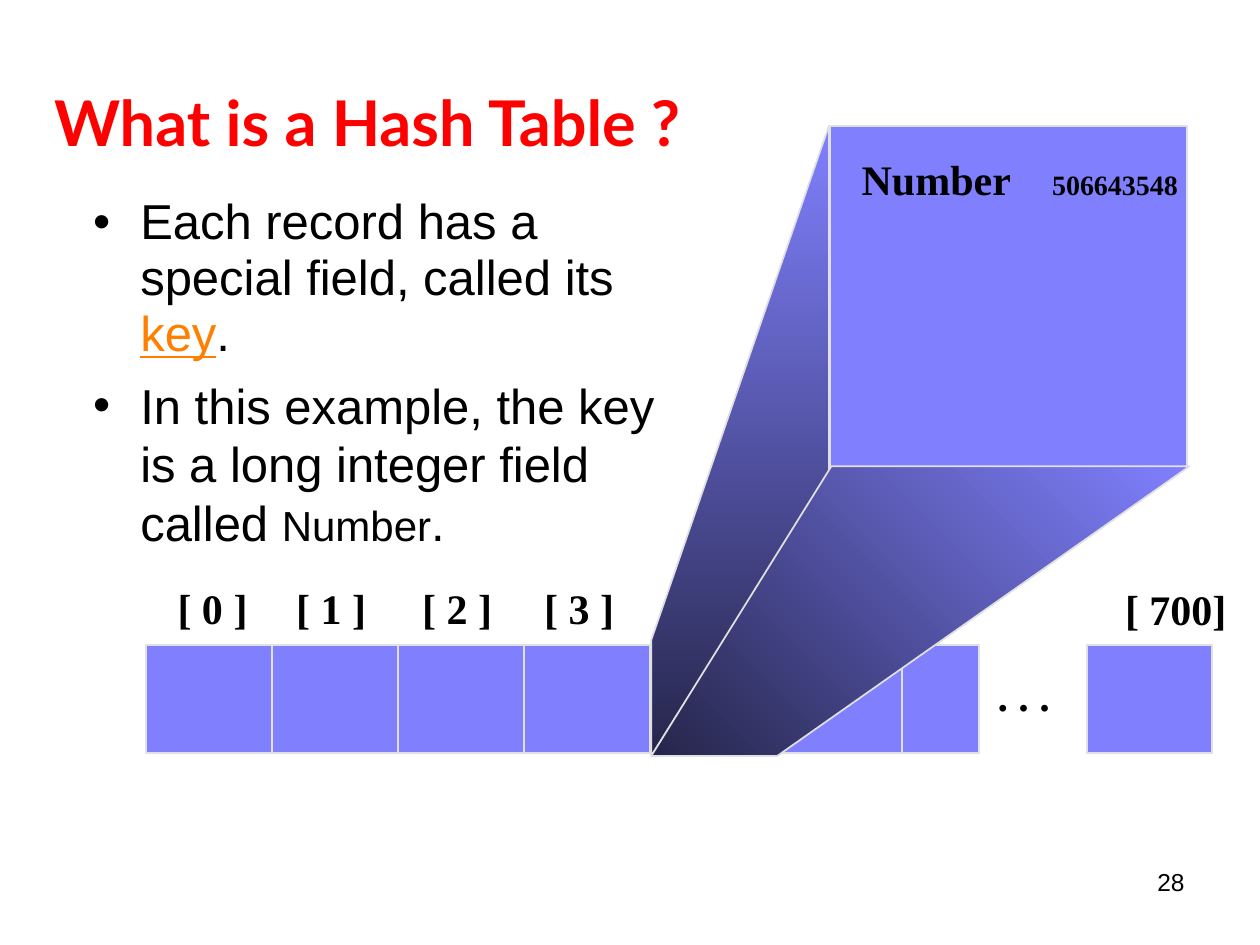
from lxml import etree
from pptx import Presentation
from pptx import util as u
from pptx.dml.color import RGBColor
from pptx.enum import shapes, text
from pptx.oxml import ns

rgb = RGBColor.from_string
LILAC, NAVY, EDGE = "8080FF", "26264B", "E0E0E0"
SERIF = "Times New Roman"

deck = Presentation()
deck.slide_width, deck.slide_height = u.Cm(25.4), u.Cm(19.05)
page = deck.slides.add_slide(deck.slide_layouts[6])


def add_text(left, top, width, height, wrap=True):
    box = page.shapes.add_textbox(u.Cm(left), u.Cm(top), u.Cm(width), u.Cm(height))
    frame = box.text_frame
    frame.word_wrap = wrap
    if not wrap:
        frame.auto_size = text.MSO_AUTO_SIZE.SHAPE_TO_FIT_TEXT
        frame.margin_right = 0
    return frame


def set_font(para, name, size, color="000000", bold=False):
    para.font.name = name
    para.font.size = u.Pt(size)
    para.font.bold = bold
    para.font.color.rgb = rgb(color)


title = add_text(0.84, 0.94, 21.59, 3.18)
title.vertical_anchor = text.MSO_ANCHOR.MIDDLE
para = title.paragraphs[0]
para.text = "What is a Hash Table ?"
para.line_spacing = 0.95
set_font(para, "Lato", 36, "FF0000", True)

body = add_text(1.63, 3.81, 12.57, 11.43)
points = [
    (0.95, ["Each record has a special field, called its ", "key", "."]),
    (1.0, ["In this example, the key is a long integer field called ", "Number", "."]),
]
for index, (spacing, parts) in enumerate(points):
    para = body.add_paragraph() if index else body.paragraphs[0]
    para.line_spacing = spacing
    para.space_before = u.Pt(7)
    props = para._p.get_or_add_pPr()
    props.set("marL", str(u.Cm(0.95)))
    props.set("indent", str(u.Cm(-0.95)))
    etree.SubElement(props, ns.qn("a:buFont")).set("typeface", "Arial")
    etree.SubElement(props, ns.qn("a:buChar")).set("char", "•")
    set_font(para, "Arial", 28)
    for part in parts:
        span = para.add_run()
        span.text = part
        if part == "key":
            span.font.underline = True
            span.font.color.rgb = rgb("FF8000")
        elif part == "Number":
            span.font.size = u.Pt(24)

row_left, row_top, row_height, cell = 2.95, 13.0, 2.18, 2.54
blocks = [
    (row_left, row_top, 16.79, row_height),
    (21.92, row_top, 2.51, row_height),
    (16.74, 2.54, 7.19, 6.88),
]
for block in blocks:
    box = page.shapes.add_shape(shapes.MSO_SHAPE.RECTANGLE, *map(u.Cm, block))
    box.shadow.inherit = False
    box.fill.solid()
    box.fill.fore_color.rgb = rgb(LILAC)
    box.line.color.rgb = rgb(EDGE)
    box.line.width = u.Pt(1)

for index in range(1, 7):
    x = u.Cm(row_left + index * cell)
    divider = page.shapes.add_connector(
        shapes.MSO_CONNECTOR.STRAIGHT, x, u.Cm(row_top), x, u.Cm(row_top + row_height))
    divider.line.color.rgb = rgb(EDGE)
    divider.line.width = u.Pt(1)
    etree.SubElement(divider._element.spPr, ns.qn("a:effectLst"))

beams = [
    (90, [(13.13, 12.9), (16.71, 2.54), (16.71, 9.53), (13.13, 15.24)]),
    (135, [(13.13, 15.24), (16.76, 9.4), (23.98, 9.4), (15.67, 15.24)]),
]
for angle, corners in beams:
    outline = [(u.Cm(x), u.Cm(y)) for x, y in corners]
    builder = page.shapes.build_freeform(*outline[0])
    builder.add_line_segments(outline[1:], close=True)
    beam = builder.convert_to_shape()
    beam.shadow.inherit = False
    beam.fill.gradient()
    beam.fill.gradient_angle = 360 - angle
    for stop, color in zip(beam.fill.gradient_stops, (LILAC, NAVY)):
        stop.color.rgb = rgb(color)
    beam.line.color.rgb = rgb(EDGE)
    beam.line.width = u.Pt(1)

labels = [
    ("[ 0 ]", 3.33, 11.71, 1.9),
    ("[ 1 ]", 5.72, 11.71, 1.9),
    ("[ 2 ]", 8.26, 11.71, 1.9),
    ("[ 3 ]", 10.72, 11.71, 1.9),
    (". . .", 19.86, 13.46, 1.57),
    ("[ 700]", 22.43, 11.73, 2.54),
]
for label, left, top, width in labels:
    para = add_text(left, top, width, 1.19, wrap=False).paragraphs[0]
    para.text = label
    para.line_spacing = 0.93
    set_font(para, SERIF, 24, bold=True)

para = add_text(17.12, 3.07, 6.91, 1.19, wrap=False).paragraphs[0]
para.line_spacing = 0.93
tabs = etree.SubElement(para._p.get_or_add_pPr(), ns.qn("a:tabLst"))
etree.SubElement(tabs, ns.qn("a:tab"), pos=str(u.Cm(3.84)), algn="l")
set_font(para, SERIF, 24, bold=True)
para.add_run().text = "Number\t"
span = para.add_run()
span.text = "506643548"
span.font.size = u.Pt(16)

para = add_text(18.21, 17.35, 5.92, 1.32).paragraphs[0]
para.text = "28"
para.alignment = text.PP_ALIGN.RIGHT
set_font(para, "Arial", 14)

deck.save("out.pptx")
